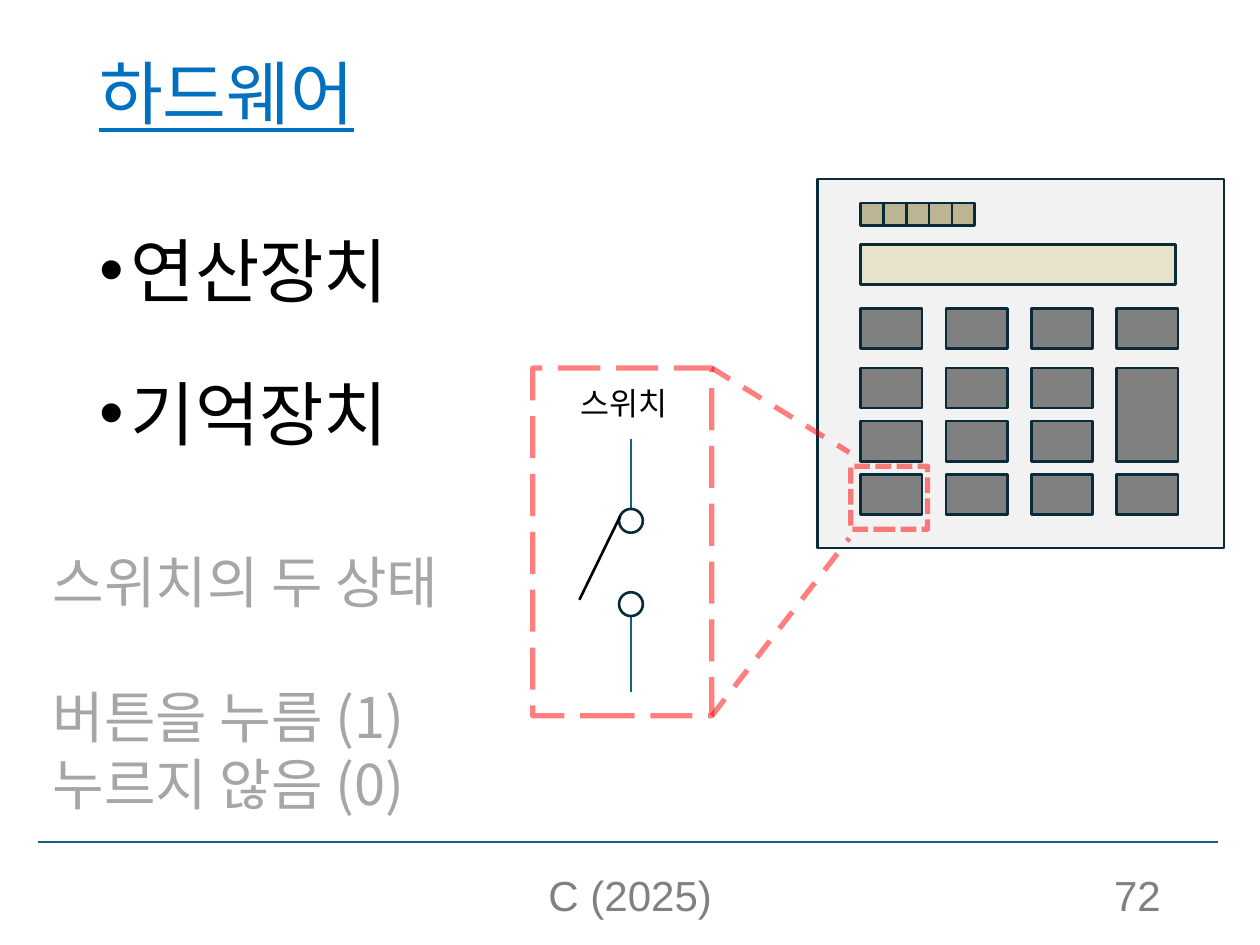
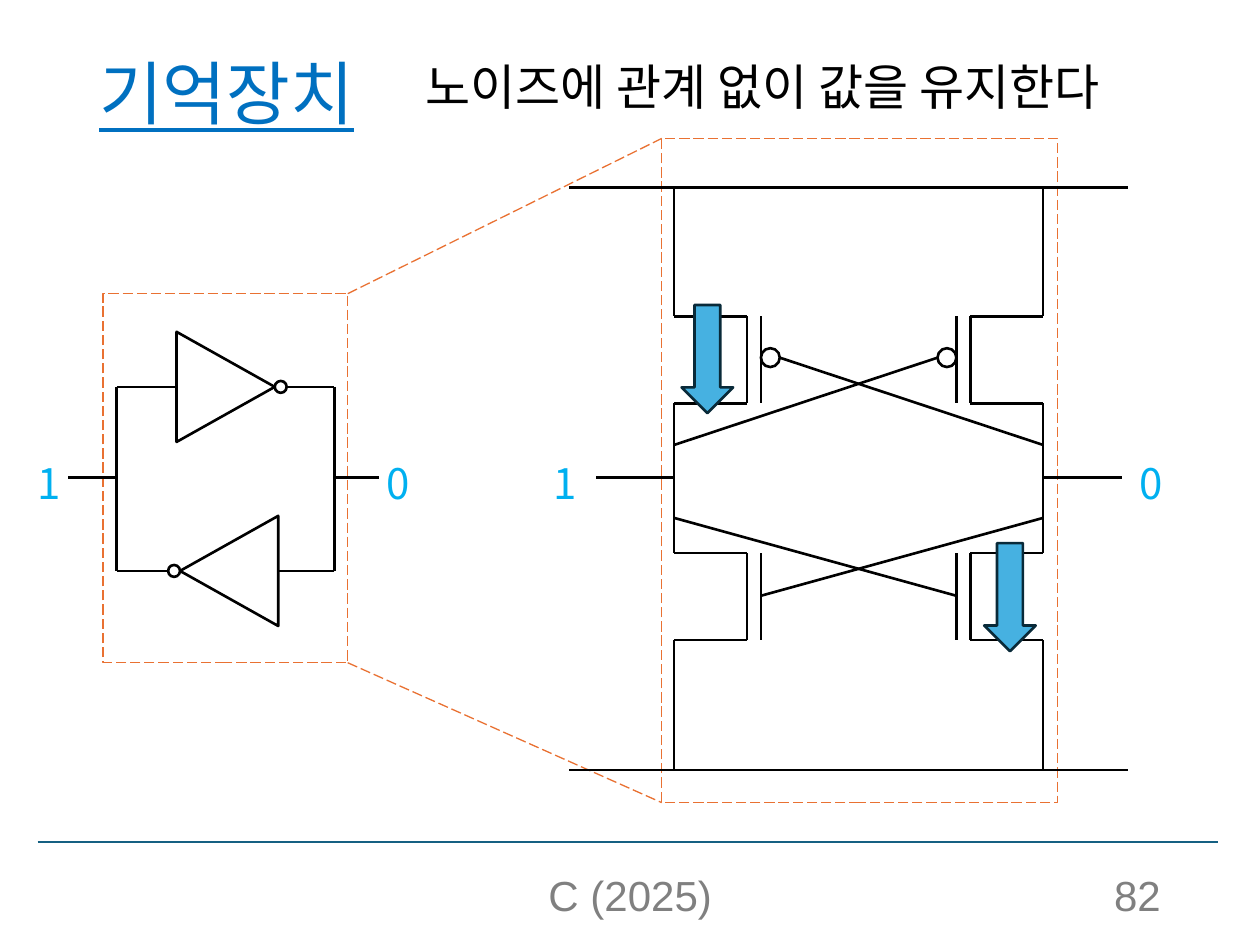
from lxml.etree import SubElement
from pptx import Presentation
from pptx.dml.color import RGBColor
from pptx.enum.dml import MSO_LINE
from pptx.enum.shapes import MSO_CONNECTOR, MSO_SHAPE
from pptx.enum.text import MSO_ANCHOR, PP_ALIGN
from pptx.oxml.ns import qn
from pptx.util import Cm, Pt

BLACK = RGBColor(0x00, 0x00, 0x00)
WHITE = RGBColor(0xFF, 0xFF, 0xFF)
TITLE_BLUE = RGBColor(0x00, 0x70, 0xC0)
RULE_BLUE = RGBColor(0x15, 0x60, 0x82)
OUTLINE_BLUE = RGBColor(0x09, 0x2A, 0x39)
BIT_BLUE = RGBColor(0x00, 0xB0, 0xF0)
ARROW_BLUE = RGBColor(0x46, 0xB1, 0xE1)
RED = RGBColor(0xFF, 0x00, 0x00)
ORANGE = RGBColor(0xE9, 0x71, 0x32)
GRAY = RGBColor(0x80, 0x80, 0x80)
PALE_GRAY = RGBColor(0xA6, 0xA6, 0xA6)
CASE_GRAY = RGBColor(0xF2, 0xF2, 0xF2)
DISPLAY_CREAM = RGBColor(0xE7, 0xE3, 0xCB)
CELL_TAN = RGBColor(0xBB, 0xB5, 0x93)

KOREAN_FONT = "Noto Sans CJK KR"
FOOTER_FONT = "Arial"


class SlideWriter:
    """Holds the deck, its common style and the page being drawn."""

    def __init__(self):
        self.deck = Presentation()
        self.deck.slide_width = Cm(25.4)
        self.deck.slide_height = Cm(19.05)
        self.page = None

    def new_page(self, title, number):
        self.page = self.deck.slides.add_slide(self.deck.slide_layouts[6])
        self.line((0.76, 16.97), (24.56, 16.97), RULE_BLUE)
        heading = self.text(1.75, 1.02, 22.94, 1.88, [title], 39.6, TITLE_BLUE,
                            anchor=MSO_ANCHOR.MIDDLE)[0]
        heading.line_spacing = 0.9
        heading.runs[0].font.underline = True
        self.footer(8.41, 8.59, "C (2025)", PP_ALIGN.CENTER)
        self.footer(17.93, 5.72, str(number), PP_ALIGN.RIGHT)

    def footer(self, left, width, words, align):
        self.text(left, 17.65, width, 1.02, [words], 24, GRAY, font=FOOTER_FONT,
                  anchor=MSO_ANCHOR.BOTTOM, align=align)

    def text(self, left, top, width, height, lines, size, color, font=KOREAN_FONT,
             anchor=MSO_ANCHOR.TOP, align=PP_ALIGN.LEFT, wrap=True):
        """Add a text box with one paragraph per line; return the paragraphs."""
        box = self.page.shapes.add_textbox(Cm(left), Cm(top), Cm(width), Cm(height))
        frame = box.text_frame
        frame.word_wrap = wrap
        frame.vertical_anchor = anchor
        for index, words in enumerate(lines):
            para = frame.add_paragraph() if index else frame.paragraphs[0]
            para.alignment = align
            span = para.add_run()
            span.text = words
            span.font.size = Pt(size)
            span.font.name = font
            span.font.color.rgb = color
            east_asian = SubElement(span.font._element, qn("a:ea"))
            east_asian.set("typeface", font)
        return frame.paragraphs

    def bullets(self, left, top, width, height, lines, size):
        paragraphs = self.text(left, top, width, height, lines, size, BLACK)
        for index, para in enumerate(paragraphs):
            properties = para._p.get_or_add_pPr()
            properties.set("marL", str(Cm(0.64)))
            properties.set("indent", str(-Cm(0.64)))
            SubElement(properties, qn("a:buFont")).set("typeface", FOOTER_FONT)
            SubElement(properties, qn("a:buChar")).set("char", "•")
            para.line_spacing = 1.5
            para.space_before = Pt(10 if index else 0)

    def stroke(self, item, color, weight, dash, opacity):
        """Style the outline of a shape or a connector."""
        item.line.color.rgb = color
        item.line.width = Pt(weight)
        if dash:
            item.line.dash_style = dash
        if opacity < 100:
            tint = item._element.spPr.find(".//" + qn("a:ln") + "//" + qn("a:srgbClr"))
            SubElement(tint, qn("a:alpha")).set("val", str(opacity * 1000))

    def line(self, start, end, color=BLACK, weight=1.5, dash=None, opacity=100):
        points = [Cm(value) for value in (*start, *end)]
        connector = self.page.shapes.add_connector(MSO_CONNECTOR.STRAIGHT, *points)
        self.stroke(connector, color, weight, dash, opacity)
        SubElement(connector._element.spPr, qn("a:effectLst"))

    def finish(self, shape, fill, color, weight=1.5, dash=None, opacity=100):
        shape.shadow.inherit = False
        if fill is None:
            shape.fill.background()
        else:
            shape.fill.solid()
            shape.fill.fore_color.rgb = fill
        self.stroke(shape, color, weight, dash, opacity)

    def shape(self, kind, left, top, width, height, fill=None, color=OUTLINE_BLUE, **stroke):
        shape = self.page.shapes.add_shape(kind, Cm(left), Cm(top), Cm(width), Cm(height))
        self.finish(shape, fill, color, **stroke)

    def rectangle(self, *place, **style):
        self.shape(MSO_SHAPE.RECTANGLE, *place, **style)

    def circle(self, x, y, radius, **style):
        self.shape(MSO_SHAPE.OVAL, x - radius, y - radius, 2 * radius, 2 * radius, **style)

    def polygon(self, corners):
        points = [(Cm(x), Cm(y)) for x, y in corners]
        builder = self.page.shapes.build_freeform(*points[0])
        builder.add_line_segments(points[1:], close=True)
        self.finish(builder.convert_to_shape(), None, BLACK)


def draw_calculator(writer):
    left, key_width, key_height, column_step = 17.35, 1.24, 0.81, 1.72
    function_row, digit_row, row_step = 6.22, 7.42, 1.07
    writer.rectangle(16.48, 3.61, 8.2, 7.44, fill=CASE_GRAY)
    rows = [function_row] + [digit_row + row * row_step for row in range(3)]
    for row, top in enumerate(rows):
        for column in range(4):
            height = key_height
            if column == 3 and row == 1:
                height += row_step
            elif column == 3 and row == 2:
                continue
            writer.rectangle(left + column * column_step, top, key_width, height, fill=GRAY)
    writer.rectangle(left, 4.93, 6.35, 0.81, fill=DISPLAY_CREAM)
    for cell in range(5):
        writer.rectangle(left + cell * 0.46, 4.09, 0.46, 0.46, fill=CELL_TAN)


def draw_switch(writer):
    x, upper, lower, radius = 12.72, 10.5, 12.18, 0.24
    writer.line((x, 13.94), (x, lower + radius), RULE_BLUE)
    writer.line((x, upper - radius), (x, 8.84), RULE_BLUE)
    for y in (lower, upper):
        writer.circle(x, y, radius)
    writer.line((12.5, 10.41), (11.68, 12.09))
    writer.text(11.46, 7.62, 2.54, 1.02, ["스위치"], 18, BLACK)


def hardware_page(writer):
    writer.new_page("하드웨어", 72)
    writer.bullets(1.75, 3.61, 22.94, 13.56, ["연산장치", "기억장치"], 40)
    draw_calculator(writer)
    draw_switch(writer)
    highlight = {"color": RED, "weight": 3, "opacity": 50}
    writer.rectangle(17.15, 9.4, 1.55, 1.27, dash=MSO_LINE.SQUARE_DOT, **highlight)
    writer.rectangle(10.74, 7.42, 3.61, 7.01, dash=MSO_LINE.LONG_DASH, **highlight)
    for start_y, end_y in ((7.42, 9.12), (14.43, 10.85)):
        writer.line((14.35, start_y), (17.12, end_y), dash=MSO_LINE.DASH, **highlight)
    states = writer.text(0.81, 10.92, 9.73, 5.74,
                         ["스위치의 두 상태", "버튼을 누름 (1)", "누르지 않음 (0)"], 32, PALE_GRAY)
    states[1].space_before = Pt(38.5)


def draw_inverter(writer, base, y, direction, loop_in, loop_out):
    """Draw an inverter pointing right (1) or left (-1), wired to both loop sides."""
    apex = base + direction * 1.98
    radius = 0.12
    writer.polygon([(base, y - 1.11), (apex, y), (base, y + 1.11)])
    writer.circle(apex + direction * radius, y, radius, fill=WHITE, color=BLACK)
    writer.line((loop_in, y), (base, y))
    writer.line((apex + direction * 2 * radius, y), (loop_out, y))


def draw_inverter_loop(writer, output_y):
    left, right, upper, lower = 2.35, 6.74, 7.8, 11.51
    draw_inverter(writer, 3.56, upper, 1, left, right)
    draw_inverter(writer, 5.61, lower, -1, right, left)
    for x, terminal in ((left, 1.37), (right, 7.65)):
        writer.line((x, upper), (x, lower))
        writer.line((x, output_y), (terminal, output_y))


def draw_latch_half(writer, side, supply, ground, output_y):
    """Draw one transistor column on the left (-1) or right (1) of the latch axis."""
    def at(offset, y):
        return 17.31 + side * offset, y

    rail, channel, gate, bubble, radius = 3.72, 2.25, 1.97, 1.78, 0.19
    upper_top, upper_bottom, lower_top, lower_bottom = 6.38, 8.13, 11.15, 12.9
    for top, bottom in ((upper_top, upper_bottom), (lower_top, lower_bottom)):
        for offset in (channel, gate):
            writer.line(at(offset, top), at(offset, bottom))
        for y in (top, bottom):
            writer.line(at(channel, y), at(rail, y))
    for top, bottom in ((supply, upper_top), (upper_bottom, lower_top), (lower_bottom, ground)):
        writer.line(at(rail, top), at(rail, bottom))
    writer.circle(*at(bubble, 7.21), radius, fill=WHITE, color=BLACK)
    writer.line(at(-rail, 8.97), at(bubble - radius, 7.21))
    writer.line(at(-rail, 10.44), at(gate, 12.01))
    writer.line(at(rail, output_y), at(5.3, output_y))


def memory_page(writer):
    supply, ground, output_y = 3.78, 15.52, 9.63
    writer.new_page("기억장치", 82)
    writer.text(8.33, 1.02, 15.88, 1.45, ["노이즈에 관계 없이 값을 유지한다"], 28, BLACK, wrap=False)
    zoom = {"color": ORANGE, "weight": 0.75, "dash": MSO_LINE.LONG_DASH}
    writer.rectangle(2.08, 5.92, 4.93, 7.44, **zoom)
    writer.rectangle(13.34, 2.79, 7.98, 13.39, **zoom)
    for start_y, end_y in ((5.92, 2.79), (13.36, 16.18)):
        writer.line((7.01, start_y), (13.34, end_y), **zoom)
    draw_inverter_loop(writer, output_y)
    for y in (supply, ground):
        writer.line((11.48, y), (22.73, y))
    for side in (-1, 1):
        draw_latch_half(writer, side, supply, ground, output_y)
    for left, bit in ((0.51, "1"), (7.54, "0"), (10.9, "1"), (22.73, "0")):
        writer.text(left, 9.1, 1, 1.27, [bit], 24, BIT_BLUE, wrap=False)
    for left, top in ((19.84, 10.95), (13.74, 6.15)):
        writer.shape(MSO_SHAPE.DOWN_ARROW, left, top, 1.04, 2.18, fill=ARROW_BLUE)


def main():
    writer = SlideWriter()
    hardware_page(writer)
    memory_page(writer)
    writer.deck.save("out.pptx")


if __name__ == "__main__":
    main()
